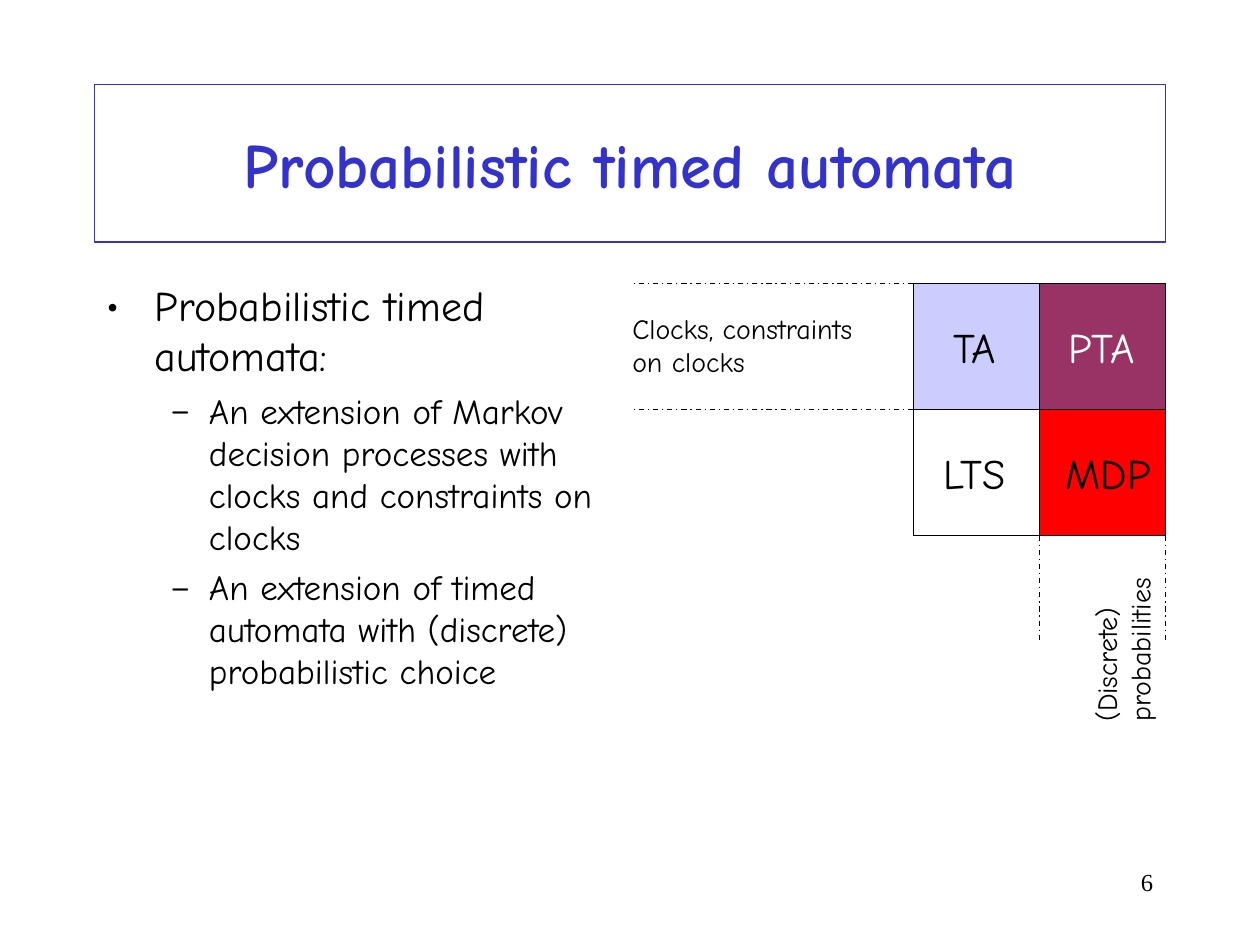
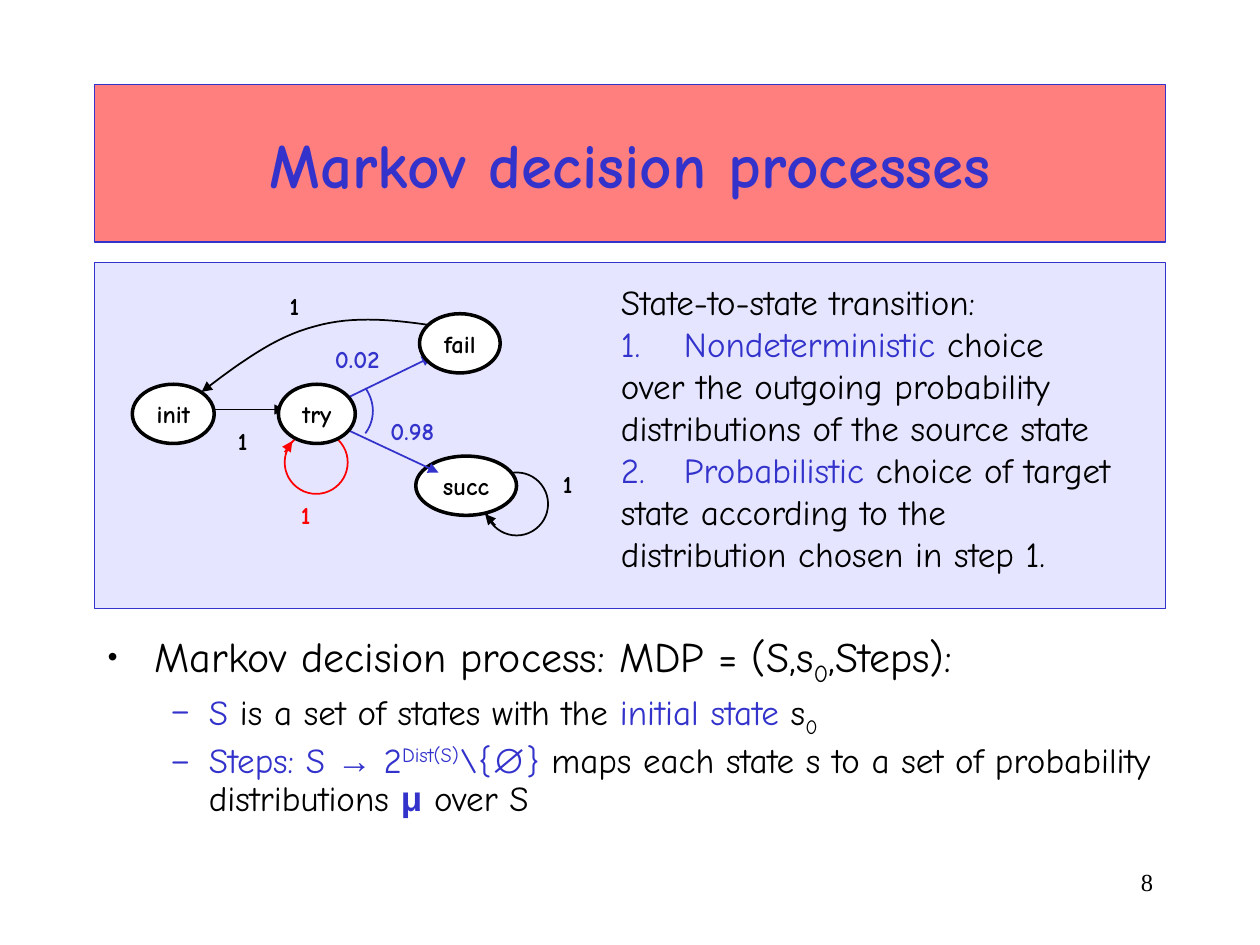
from dataclasses import dataclass

from lxml import etree
from pptx import Presentation
from pptx.dml.color import RGBColor
from pptx.enum import dml, shapes, text
from pptx.oxml.ns import qn

SCALE = 9144
KIND = shapes.MSO_SHAPE
ALIGN = text.PP_ALIGN


@dataclass(frozen=True)
class Theme:
    """Colours, fonts and type sizes of the deck."""
    ink: str = "000000"
    paper: str = "FFFFFF"
    blue: str = "3333CC"
    pale: str = "CCCCFF"
    red: str = "FF0000"
    plum: str = "993366"
    face: str = "Comic Neue"
    serif: str = "Times New Roman"
    sign: str = "Arial"
    title: int = 36
    head: int = 24
    body: int = 20
    note: int = 16
    small: int = 14


T = Theme()
HEAD = dict(size=T.head, left=38, hang=-38, bullet="•")
ITEM = dict(size=T.body, left=81, hang=-31, bullet="–", before=5)


def px(*vals):
    """Turn px into EMU."""
    return [round(v * SCALE) for v in vals]


def rgb(code):
    """Turn a hex code into a colour."""
    return RGBColor.from_string(code)


def child(node, tag, **attrs):
    """Append a drawing element with its attributes."""
    return etree.SubElement(node, qn("a:" + tag), attrs)


def style(run, size=T.body, face=T.face, color=T.ink, bold=False, base=0):
    """Set the look of one run."""
    font = run.font
    font.size, font.name, font.bold = size * 12700, face, bold
    font.color.rgb = rgb(color)
    if base:
        font._element.set("baseline", str(base * 1000))


def write(frame, words, align=ALIGN.LEFT, left=0, hang=0, bullet=None,
          number=None, mark=T.ink, before=0, lines=None, **look):
    """Add a paragraph made of a string or of (string, look) runs."""
    para = frame.paragraphs[0]
    if para.runs:
        para = frame.add_paragraph()
    props = para._p.get_or_add_pPr()
    if left:
        props.set("marL", str(px(left)[0]))
        props.set("indent", str(px(hang)[0]))
    if bullet or number:
        child(child(props, "buClr"), "srgbClr", val=mark)
        child(props, "buFont", typeface=T.face)
    if bullet:
        child(props, "buChar", char=bullet)
    if number:
        child(props, "buAutoNum", type="arabicPeriod", startAt=str(number))
    para.alignment = align
    if before:
        para.space_before = before * 12700
    if lines:
        para.line_spacing = lines
    for part, extra in [(words, {})] if isinstance(words, str) else words:
        run = para.add_run()
        run.text = part
        style(run, **{**look, **extra})


def area(slide, box, wrap=True, grow=True, middle=False):
    """Add an empty text box and return its frame."""
    frame = slide.shapes.add_textbox(*px(*box)).text_frame
    frame.word_wrap = wrap
    size = text.MSO_AUTO_SIZE
    frame.auto_size = size.SHAPE_TO_FIT_TEXT if grow else size.NONE
    if middle:
        frame.vertical_anchor = text.MSO_ANCHOR.MIDDLE
    return frame


def label(slide, box, words, wrap=False, turn=0, **look):
    """Add a text box with one paragraph."""
    frame = area(slide, box, wrap)
    write(frame, words, **look)
    frame._parent.rotation = turn


def paint(shape, fill, line, width, alpha=None):
    """Set fill and outline and drop the shadow."""
    shape.shadow.inherit = False
    if fill:
        shape.fill.solid()
        shape.fill.fore_color.rgb = rgb(fill)
        if alpha:
            tint = shape.element.spPr.find(".//" + qn("a:srgbClr"))
            child(tint, "alpha", val=str(alpha * 1000))
    else:
        shape.fill.background()
    shape.line.color.rgb = rgb(line)
    shape.line.width = round(width * 12700)


def block(slide, kind, box, fill=None, line=T.ink, width=0.75, alpha=None):
    """Add a preset shape."""
    shape = slide.shapes.add_shape(kind, *px(*box))
    paint(shape, fill, line, width, alpha)
    return shape


def tip(shape):
    """Put an arrowhead at the end of a line."""
    child(shape.line._get_or_add_ln(), "tailEnd", type="triangle")


def link(slide, ends, color=T.ink, width=1, dash=False, arrow=True):
    """Join two points with a straight line."""
    line = slide.shapes.add_connector(shapes.MSO_CONNECTOR.STRAIGHT, *px(*ends))
    line.line.color.rgb = rgb(color)
    line.line.width = round(width * 12700)
    if dash:
        line.line.dash_style = dml.MSO_LINE.DASH_DOT
    if arrow:
        tip(line)
    child(line.element.spPr, "effectLst")


def curve(slide, x, y, knots, color=T.ink, arrow=False, steps=16):
    """Trace a chain of cubic curves through the knots."""
    dots = []
    for k in range(0, len(knots) - 1, 3):
        a, b, c, d = knots[k:k + 4]
        for t in (n / steps for n in range(1, steps + 1)):
            s = 1 - t
            dots.append([s**3 * a[i] + 3 * s * s * t * b[i]
                         + 3 * s * t * t * c[i] + t**3 * d[i] for i in (0, 1)])
    start, *rest = [px(x + p, y + q) for p, q in [knots[0], *dots]]
    pen = slide.shapes.build_freeform(*start)
    pen.add_line_segments(rest, close=False)
    shape = pen.convert_to_shape()
    paint(shape, None, color, 1)
    if arrow:
        tip(shape)


def page(deck, title, number, fill=None):
    """Add a slide with its number and title band."""
    slide = deck.slides.add_slide(deck.slide_layouts[6])
    write(area(slide, (717, 683, 208, 50), grow=False), number,
          align=ALIGN.RIGHT, size=T.small, face=T.serif)
    band = block(slide, KIND.RECTANGLE, (75, 67, 850, 125), fill, T.blue, alpha=50)
    band.text_frame.vertical_anchor = text.MSO_ANCHOR.MIDDLE
    band.text_frame.word_wrap = True
    write(band.text_frame, title, align=ALIGN.CENTER, size=T.title,
          color=T.blue, bold=True)
    return slide


def grid(slide, x, y, side=100):
    """Draw the two by two model square with its guides."""
    cells = [("TA", 0, 0, T.pale, T.ink, 22, 60),
             ("MDP", 1, 1, T.red, T.ink, 11, 92),
             ("LTS", 0, 1, T.paper, T.ink, 14, 76),
             ("PTA", 1, 0, T.plum, T.paper, 13, 79)]
    for name, col, row, fill, ink, gap, wide in cells:
        left, top = x + col * side, y + row * side
        block(slide, KIND.RECTANGLE, (left, top, side, side), fill)
        label(slide, (left + gap, top + 25, wide, 50), name,
              size=T.head, color=ink)
    label(slide, (x - 233, y + 17, 217, 64), "Clocks, constraints on clocks",
          wrap=True, size=T.note)
    label(slide, (x + 83, y + 242, 167, 64), "(Discrete) probabilities",
          wrap=True, turn=270, size=T.note)
    for n in (0, 1):
        row, col = y + n * side, x + (n + 1) * side
        for ends in ((x, row, x - 225, row),
                     (col, y + 2 * side, col, y + 2 * side + 83)):
            link(slide, ends, width=0.75, dash=True, arrow=False)


def node(slide, x, y, wide, name):
    """Draw one named state."""
    shape = block(slide, KIND.OVAL, (x, y, wide, 47), T.paper, width=2)
    shape.text_frame.word_wrap = False
    shape.text_frame.vertical_anchor = text.MSO_ANCHOR.MIDDLE
    write(shape.text_frame, name, align=ALIGN.CENTER, size=T.small, bold=True)


def graph(slide, x, y):
    """Draw the state graph from its top left corner."""
    def arrow(a, b, c, d, color=T.ink):
        link(slide, (x + a, y + b, x + c, y + d), color)

    for left, top, color in ((310, 167, T.ink), (151, 134, T.red)):
        block(slide, KIND.OVAL, (x + left, y + top, 50, 50), line=color, width=1)
    node(slide, x + 255, y + 154, 80, "succ")
    arrow(93, 117, 151, 117)
    arrow(194, 111, 268, 75, T.blue)
    arrow(194, 130, 273, 167, T.blue)
    curve(slide, x, y, [(273, 51), (240, 46), (206, 42), (175, 51),
                        (143, 59), (114, 81), (85, 103)], arrow=True)
    for left, top, wide, name in ((30, 97, 65, "init"), (258, 41, 64, "fail"),
                                  (146, 97, 61, "try")):
        node(slide, x + left, y + top, wide, name)
    for left, top, odds, color in (
            (145, 18, "1", T.ink), (104, 125, "1", T.ink), (154, 184, "1", T.red),
            (181, 60, "0.02", T.blue), (225, 117, "0.98", T.blue),
            (362, 159, "1", T.ink)):
        label(slide, (x + left, y + top, 60 if len(odds) > 1 else 30, 34), odds,
              size=T.small, color=color, bold=True)
    arrow(151, 151, 157, 142, T.red)
    arrow(318, 209, 310, 200)
    curve(slide, x, y, [(215, 100), (218, 104), (221, 111), (221, 118),
                        (221, 126), (218, 132), (215, 136)], T.blue)


def rules(slide, box):
    """Write the two steps of a transition."""
    frame = area(slide, box, middle=True)
    blue = dict(color=T.blue)
    rows = [("State-to-state transition:", None),
            ([("Nondeterministic", blue), (" choice", {})], 1),
            ("over the outgoing probability", None),
            ("distributions of the source state", None),
            ([("Probabilistic", blue), (" choice of target", {})], 2),
            ("state according to the", None),
            ("distribution chosen in step 1.", None)]
    for words, number in rows:
        write(frame, words, left=50, hang=-50, number=number, mark=T.blue)


def points(slide, box, head, items, **look):
    """Write a heading bullet and its dashed items."""
    frame = area(slide, box, grow=False)
    write(frame, head, **HEAD, **{**look, "mark": T.ink})
    for item in items:
        write(frame, item, **ITEM, **look)


def timed(deck):
    """Build the slide on probabilistic timed automata."""
    slide = page(deck, "Probabilistic timed automata", "6")
    points(slide, (75, 217, 408, 450), "Probabilistic timed automata:", [
        "An extension of Markov decision processes with clocks and "
        "constraints on clocks",
        "An extension of timed automata with (discrete) probabilistic choice"])
    grid(slide, 725, 225)


def markov(deck):
    """Build the slide on Markov decision processes."""
    slide = page(deck, "Markov decision processes", "8", T.red)
    x, y = 75, 208
    block(slide, KIND.RECTANGLE, (x, y, 850, 275), T.pale, T.blue, 0.25, 50)
    rules(slide, (x + 408, y + 9, 495, 244))
    graph(slide, x, y)
    blue, sub = dict(color=T.blue), dict(base=-25)
    sign = dict(color=T.blue, face=T.sign)
    points(slide, (x, 496, 850, 171),
           [("Markov decision process: MDP = (S,s", {}), ("0", sub),
            (",Steps):", {})],
           [[("S ", blue), ("is a set of states with the ", {}),
             ("initial state", blue), (" s", {}), ("0", sub)],
            [("Steps: S ", blue), ("→", sign), (" 2", blue),
             ("Dist(S)", dict(blue, base=30)), ("\\{", blue), ("∅", sign),
             ("} ", blue),
             ("maps each state s to a set of probability distributions ", {}),
             ("μ", dict(sign, bold=True)), (" over S", {})]],
           lines=0.9, mark=T.blue)


def main():
    """Build and save the deck."""
    deck = Presentation()
    deck.slide_width, deck.slide_height = px(1000, 750)
    timed(deck)
    markov(deck)
    deck.save("out.pptx")


if __name__ == "__main__":
    main()
